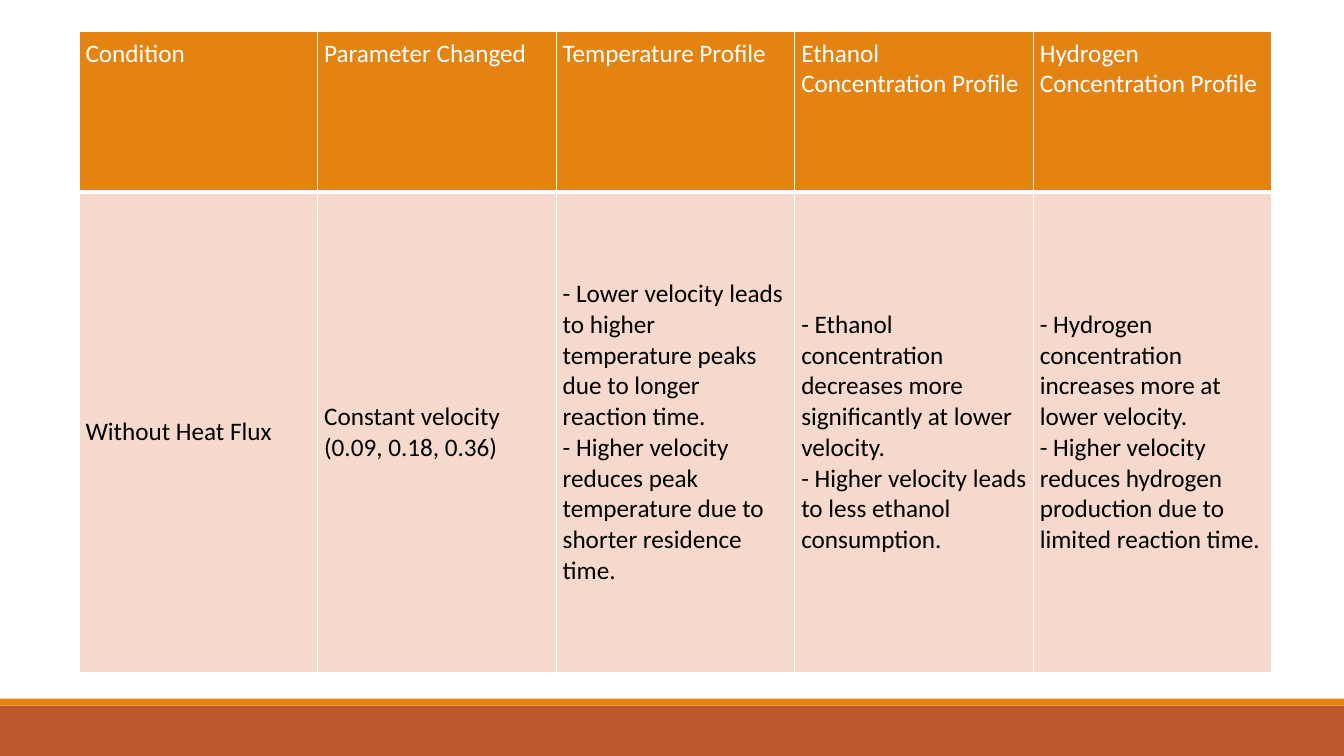
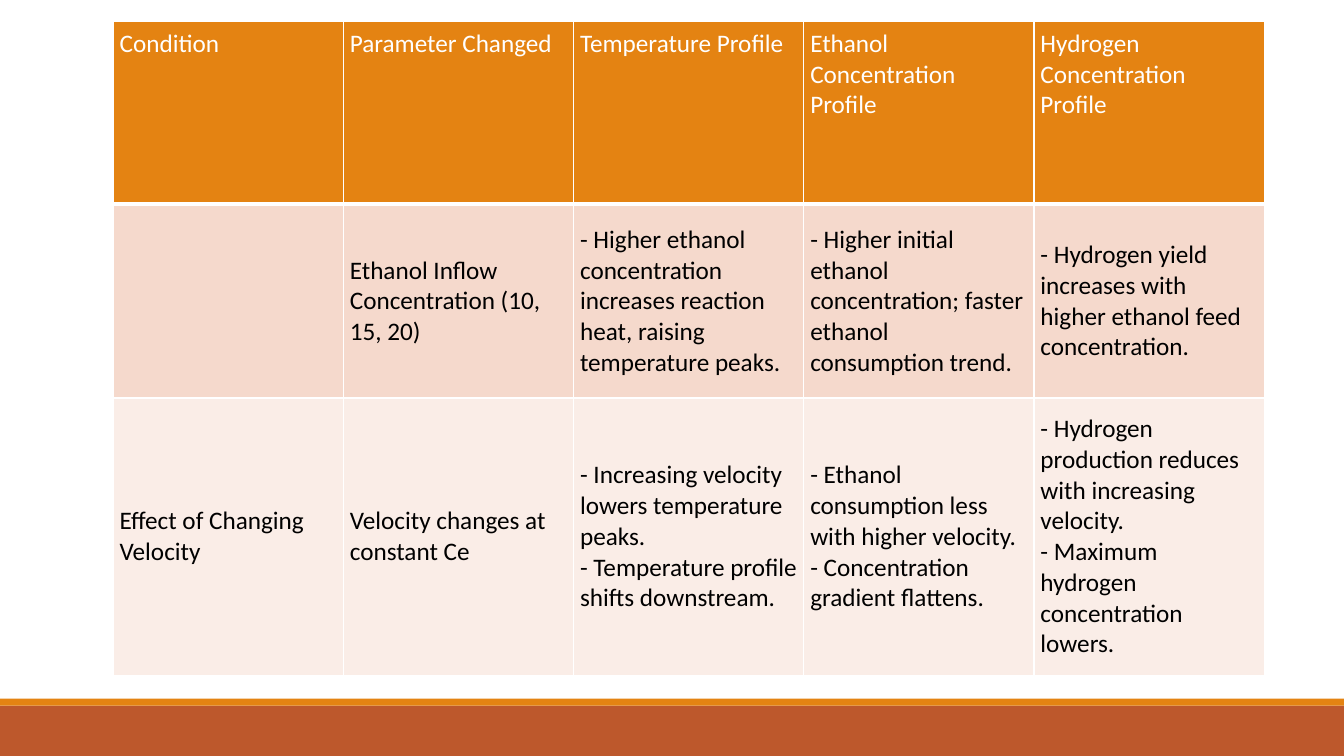
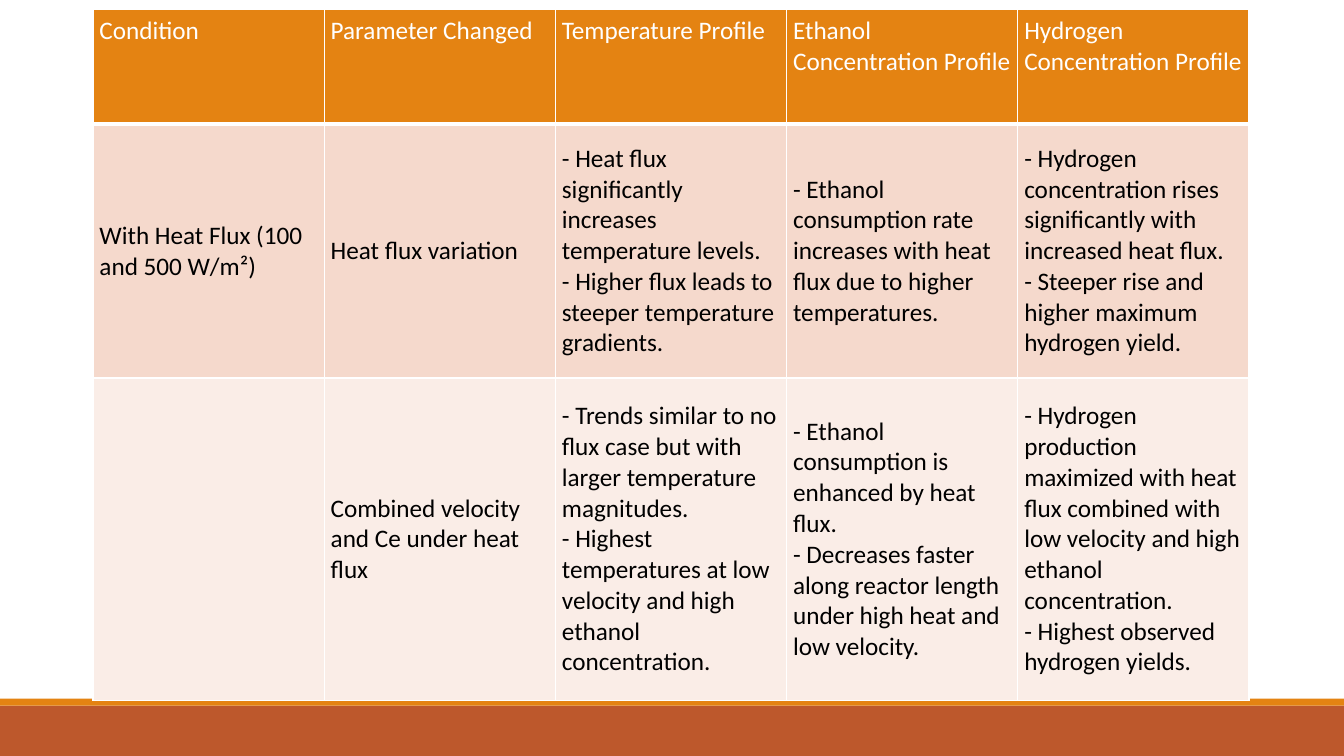
from dataclasses import dataclass

from lxml.etree import SubElement
from pptx import Presentation
from pptx.dml.color import RGBColor as Color
from pptx.enum.shapes import MSO_SHAPE as Shape
from pptx.enum.text import MSO_ANCHOR as Anchor
from pptx.oxml.ns import qn
from pptx.util import Pt


@dataclass(frozen=True)
class Theme:
    font: str = "Calibri"
    text_size: float = 18
    page_width: float = 960
    page_height: float = 540
    orange: str = "E48312"
    rust: str = "BD582C"
    white: str = "FFFFFF"
    black: str = "000000"
    row_tints: tuple = ("F5D9CC", "FAEDE7")
    thin_rule: float = 1
    thick_rule: float = 3


THEME = Theme()

HEADER_CELL = {
    "margin_left": Pt(4.7), "margin_right": Pt(4.7),
    "margin_top": Pt(4.7), "margin_bottom": Pt(4.7),
    "vertical_anchor": Anchor.TOP,
}
BODY_CELL = {
    **HEADER_CELL,
    "margin_top": Pt(3.4), "margin_bottom": Pt(3.4),
    "vertical_anchor": Anchor.MIDDLE,
}
TEXT_FORMAT = {"name": THEME.font, "size": Pt(THEME.text_size), "bold": False}

FOOTER_BANDS = (  # top, height, colour
    (504, 36, THEME.rust),
    (499, 5, THEME.orange),
)

HEADINGS = (
    "Condition",
    "Parameter Changed",
    "Temperature Profile",
    "Ethanol Concentration Profile",
    "Hydrogen Concentration Profile",
)

PAGES = (
    {
        "box": (56.4, 22.6, 852.2),
        "row_heights": (114.5, 343.5),
        "rows": (
            (
                "Without Heat Flux",
                "Constant velocity (0.09, 0.18, 0.36)",
                "- Lower velocity leads to higher temperature peaks due to longer reaction time.\n"
                "- Higher velocity reduces peak temperature due to shorter residence time.",
                "- Ethanol concentration decreases more significantly at lower velocity.\n"
                "- Higher velocity leads to less ethanol consumption.",
                "- Hydrogen concentration increases more at lower velocity.\n"
                "- Higher velocity reduces hydrogen production due to limited reaction time.",
            ),
        ),
    },
    {
        "box": (80.8, 15.6, 822.2),
        "row_heights": (130.3, 138.5, 198),
        "rows": (
            (
                "",
                "Ethanol Inflow Concentration (10, 15, 20)",
                "- Higher ethanol concentration increases reaction heat, raising temperature peaks.",
                "- Higher initial ethanol concentration; faster ethanol consumption trend.",
                "- Hydrogen yield increases with higher ethanol feed concentration.",
            ),
            (
                "Effect of Changing Velocity",
                "Velocity changes at constant Ce",
                "- Increasing velocity lowers temperature peaks.\n"
                "- Temperature profile shifts downstream.",
                "- Ethanol consumption less with higher velocity.\n"
                "- Concentration gradient flattens.",
                "- Hydrogen production reduces with increasing velocity.\n"
                "- Maximum hydrogen concentration lowers.",
            ),
        ),
    },
    {
        "box": (66.4, 6.6, 825.8),
        "row_heights": (82, 181.4, 230.4),
        "rows": (
            (
                "With Heat Flux (100 and 500 W/m²)",
                "Heat flux variation",
                "- Heat flux significantly increases temperature levels.\n"
                "- Higher flux leads to steeper temperature gradients.",
                "- Ethanol consumption rate increases with heat flux due to higher temperatures.",
                "- Hydrogen concentration rises significantly with increased heat flux.\n"
                "- Steeper rise and higher maximum hydrogen yield.",
            ),
            (
                "",
                "Combined velocity and Ce under heat flux",
                "- Trends similar to no flux case but with larger temperature magnitudes.\n"
                "- Highest temperatures at low velocity and high ethanol concentration.",
                "- Ethanol consumption is enhanced by heat flux.\n"
                "- Decreases faster along reactor length under high heat and low velocity.",
                "- Hydrogen production maximized with heat flux combined with low velocity "
                "and high ethanol concentration.\n"
                "- Highest observed hydrogen yields.",
            ),
        ),
    },
)


def apply_format(target, values):
    for name, value in values.items():
        setattr(target, name, value)


def add_footer_bands(page):
    """Draw the bands, then move them to the page's layout so all pages share them."""
    layout_tree = page.slide_layout.shapes.element
    for top, height, colour in FOOTER_BANDS:
        band = page.shapes.add_shape(
            Shape.RECTANGLE, Pt(0), Pt(top), Pt(THEME.page_width), Pt(height))
        band.shadow.inherit = False
        band.fill.solid()
        band.fill.fore_color.rgb = Color.from_string(colour)
        band.line.fill.background()
        layout_tree.append(band.element)


def add_borders(cell, top, bottom):
    """Add white cell borders; must run before the fill, which follows them in the XML."""
    properties = cell._tc.get_or_add_tcPr()
    widths = {"L": THEME.thin_rule, "R": THEME.thin_rule, "T": top, "B": bottom}
    for side, width in widths.items():
        line = SubElement(properties, qn(f"a:ln{side}"), w=str(Pt(width)))
        fill = SubElement(line, qn("a:solidFill"))
        SubElement(fill, qn("a:srgbClr"), val=THEME.white)


def fill_cell(cell, text, row_index):
    is_header = row_index == 0
    add_borders(
        cell,
        top=THEME.thick_rule if row_index == 1 else THEME.thin_rule,
        bottom=THEME.thick_rule if is_header else THEME.thin_rule,
    )
    tint = THEME.orange if is_header else THEME.row_tints[(row_index - 1) % 2]
    cell.fill.solid()
    cell.fill.fore_color.rgb = Color.from_string(tint)
    apply_format(cell, HEADER_CELL if is_header else BODY_CELL)
    cell.text = text
    for para in cell.text_frame.paragraphs:
        apply_format(para.font, TEXT_FORMAT)
        for span in para.runs:
            apply_format(span.font, TEXT_FORMAT)
            span.font.color.rgb = Color.from_string(
                THEME.white if is_header else THEME.black)


def add_results_table(page, box, row_heights, rows):
    left, top, width = box
    all_rows = (HEADINGS, *rows)
    table = page.shapes.add_table(
        len(all_rows), len(HEADINGS),
        Pt(left), Pt(top), Pt(width), Pt(sum(row_heights))).table
    table.horz_banding = False
    for column in table.columns:
        column.width = Pt(width / len(HEADINGS))
    for row_index, (height, texts) in enumerate(zip(row_heights, all_rows)):
        table.rows[row_index].height = Pt(height)
        for column_index, text in enumerate(texts):
            fill_cell(table.cell(row_index, column_index), text, row_index)


def main():
    deck = Presentation()
    deck.slide_width, deck.slide_height = Pt(THEME.page_width), Pt(THEME.page_height)
    blank_layout = deck.slide_layouts[6]
    for index, content in enumerate(PAGES):
        page = deck.slides.add_slide(blank_layout)
        if index == 0:
            add_footer_bands(page)
        add_results_table(page, **content)
    deck.save("out.pptx")


if __name__ == "__main__":
    main()
